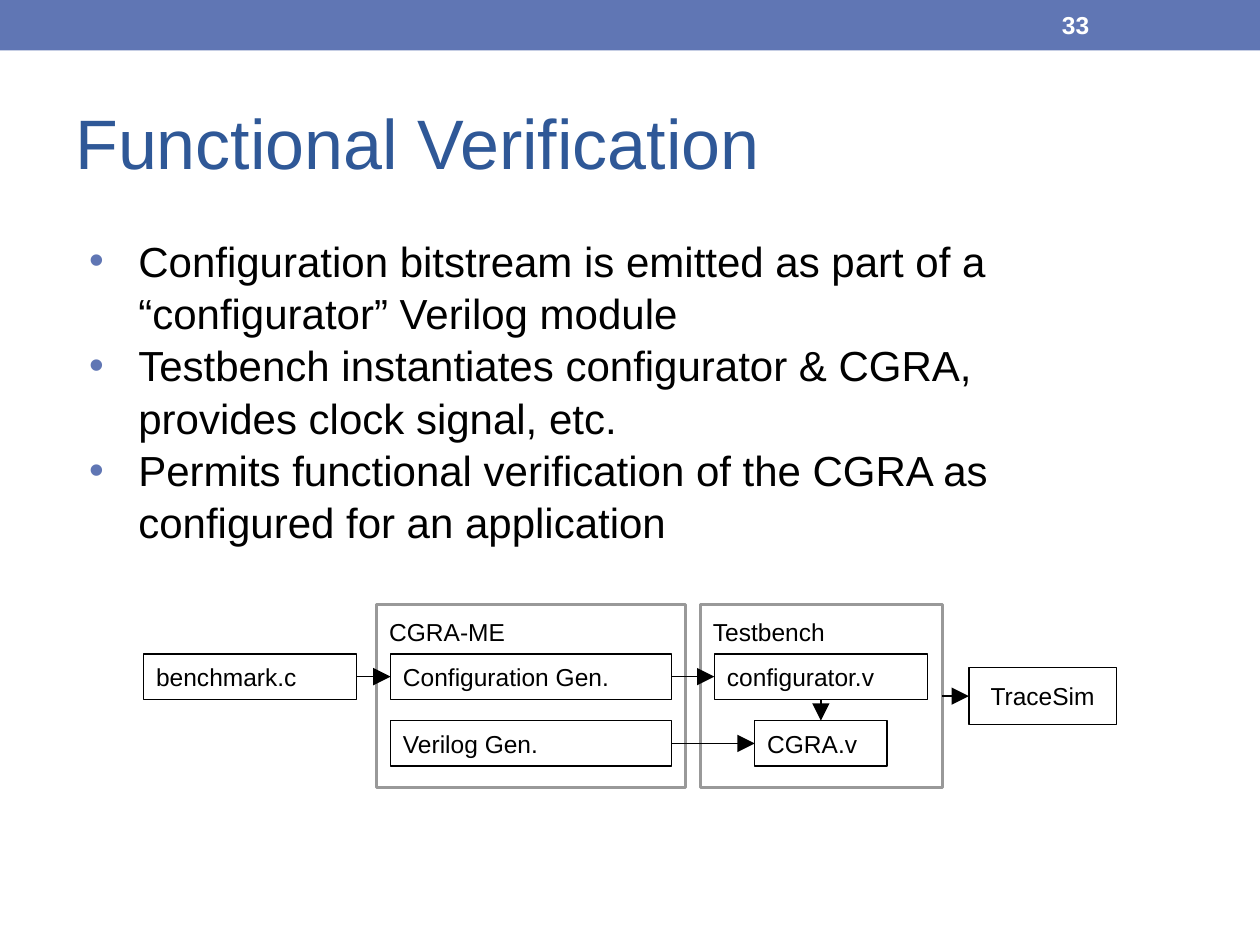
from dataclasses import dataclass
from lxml import etree
from pptx import Presentation
from pptx.dml.color import RGBColor
from pptx.enum.shapes import MSO_CONNECTOR, MSO_SHAPE
from pptx.enum.text import MSO_ANCHOR, PP_ALIGN
from pptx.oxml.ns import qn
from pptx.util import Inches, Pt


@dataclass(frozen=True)
class Theme:
    font: str = "Arial"
    band: str = "6076B4"
    title: str = "2F5897"
    ink: str = "000000"
    frame: str = "999999"
    light: str = "FFFFFF"
    title_size: int = 40
    body_size: int = 24
    label_size: int = 14


theme = Theme()


def set_frame(frame, anchor, vertical_inset=0.1):
    frame.word_wrap = True
    frame.vertical_anchor = anchor
    frame.margin_left = frame.margin_right = Inches(0.1)
    frame.margin_top = frame.margin_bottom = Inches(vertical_inset)


def add_span(para, text, size, color, bold=False):
    span = para.add_run()
    span.text = text
    span.font.name = theme.font
    span.font.size = Pt(size)
    span.font.bold = bold
    span.font.color.rgb = RGBColor.from_string(color)


deck = Presentation()
deck.slide_width, deck.slide_height = Inches(10), Inches(7.5)
page = deck.slides.add_slide(deck.slide_layouts[6])
shapes = page.shapes

# Top band
band = shapes.add_shape(MSO_SHAPE.RECTANGLE, 0, 0, Inches(10), Inches(0.4))
band.shadow.inherit = False
band.fill.solid()
band.fill.fore_color.rgb = RGBColor.from_string(theme.band)
band.line.fill.background()

# Title and page number
headings = [
    ("Functional Verification", (0.5, 0.58, 9, 1.08), 0.1, theme.title_size, theme.title, False),
    ("33", (8.33, 0.02, 1.17, 0.36), 0.05, theme.label_size, theme.light, True),
]
for text, place, inset, size, color, bold in headings:
    box = shapes.add_textbox(*map(Inches, place))
    set_frame(box.text_frame, MSO_ANCHOR.MIDDLE, inset)
    add_span(box.text_frame.paragraphs[0], text, size, color, bold)

# Bullet list: each point is a list of lines
points = [
    ["Configuration bitstream is emitted as part of a “configurator” Verilog module"],
    ["Testbench instantiates configurator & CGRA, ", "provides clock signal, etc."],
    ["Permits functional verification of the CGRA as configured for an application"],
]
body = shapes.add_textbox(Inches(0.5), Inches(1.75), Inches(9), Inches(0.36))
set_frame(body.text_frame, MSO_ANCHOR.TOP)
for index, lines in enumerate(points):
    para = body.text_frame.add_paragraph() if index else body.text_frame.paragraphs[0]
    para.line_spacing = 1.04
    properties = para._p.get_or_add_pPr()
    properties.set("marL", str(Inches(0.5)))
    properties.set("indent", str(Inches(-0.39)))
    bullet_color = etree.SubElement(properties, qn("a:buClr"))
    etree.SubElement(bullet_color, qn("a:srgbClr"), val=theme.band)
    etree.SubElement(properties, qn("a:buFont"), typeface=theme.font)
    etree.SubElement(properties, qn("a:buChar"), char="•")
    for number, line in enumerate(lines):
        if number:
            para.add_line_break()
        add_span(para, line, theme.body_size, theme.ink)

# Flow diagram: two frames, then the blocks
upper_row, lower_row, block_height = 5.19, 5.72, 0.36
frames = [
    ("Testbench", 5.56, 4.8, 1.92, 1.45),
    ("CGRA-ME", 2.99, 4.8, 2.45, 1.45),
]
blocks = [
    ("configurator.v", 5.67, upper_row, 1.69, block_height),
    ("CGRA.v", 5.99, lower_row, 1.05, block_height),
    ("TraceSim", 7.69, 5.3, 1.17, 0.45),
    ("Configuration Gen.", 3.1, upper_row, 2.23, block_height),
    ("Verilog Gen.", 3.1, lower_row, 2.23, block_height),
    ("benchmark.c", 1.14, upper_row, 1.69, block_height),
]
nodes = {}
for label, *place in frames + blocks:
    is_frame = len(nodes) < len(frames)
    box = shapes.add_shape(MSO_SHAPE.RECTANGLE, *map(Inches, place))
    box.shadow.inherit = False
    box.fill.background()
    box.line.color.rgb = RGBColor.from_string(theme.frame if is_frame else theme.ink)
    box.line.width = Pt(1.5 if is_frame else 0.75)
    set_frame(box.text_frame, MSO_ANCHOR.TOP if is_frame else MSO_ANCHOR.MIDDLE)
    para = box.text_frame.paragraphs[0]
    para.alignment = PP_ALIGN.CENTER if label == "TraceSim" else PP_ALIGN.LEFT
    add_span(para, label, theme.label_size, theme.ink)
    nodes[label] = box

# Arrows between the blocks
top, left, bottom, right = range(4)
links = [
    ("benchmark.c", right, "Configuration Gen.", left),
    ("Configuration Gen.", right, "configurator.v", left),
    ("Verilog Gen.", right, "CGRA.v", left),
    ("configurator.v", bottom, "CGRA.v", top),
    ("Testbench", right, "TraceSim", left),
]
for source, source_side, target, target_side in links:
    arrow = shapes.add_connector(MSO_CONNECTOR.STRAIGHT, 0, 0, 0, 0)
    arrow.begin_connect(nodes[source], source_side)
    arrow.end_connect(nodes[target], target_side)
    arrow.line.color.rgb = RGBColor.from_string(theme.ink)
    arrow.line.width = Pt(0.75)
    etree.SubElement(arrow.line._get_or_add_ln(), qn("a:tailEnd"),
                     type="triangle", w="lg", len="lg")
    etree.SubElement(arrow._element.spPr, qn("a:effectLst"))

deck.save("out.pptx")
